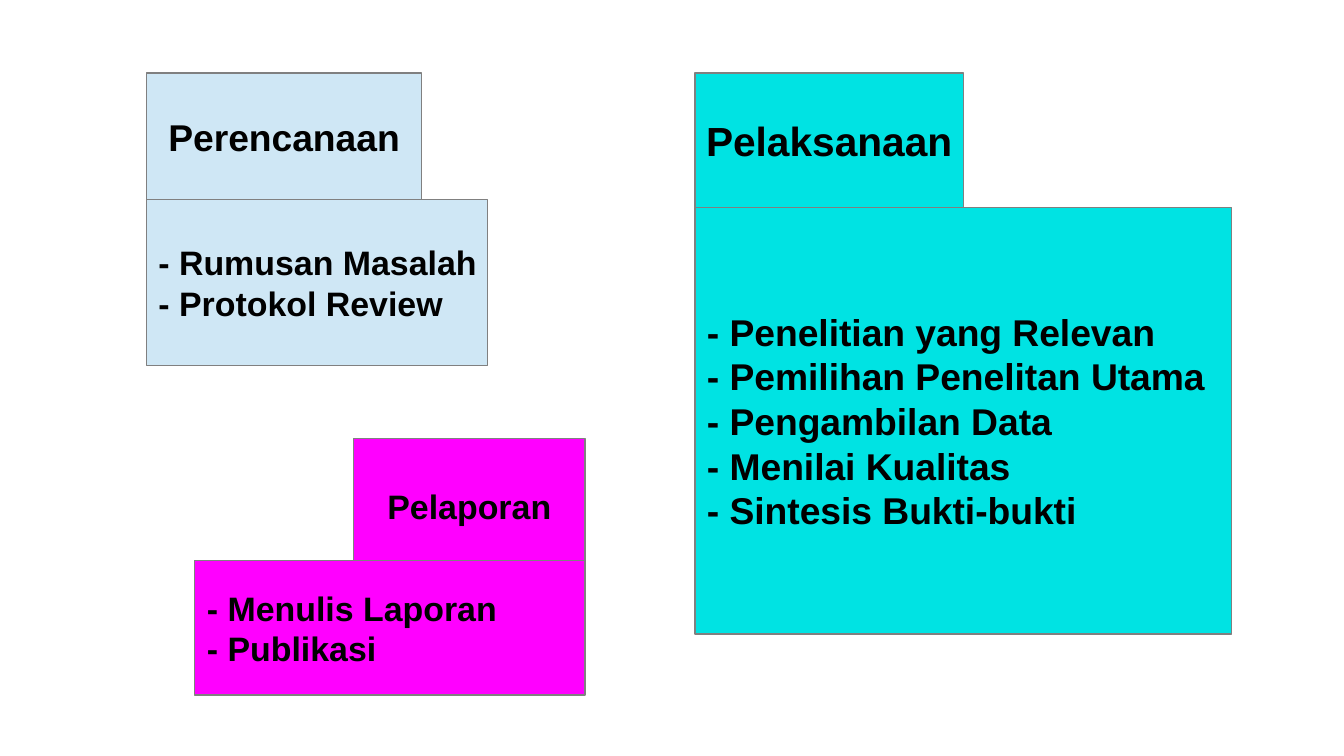
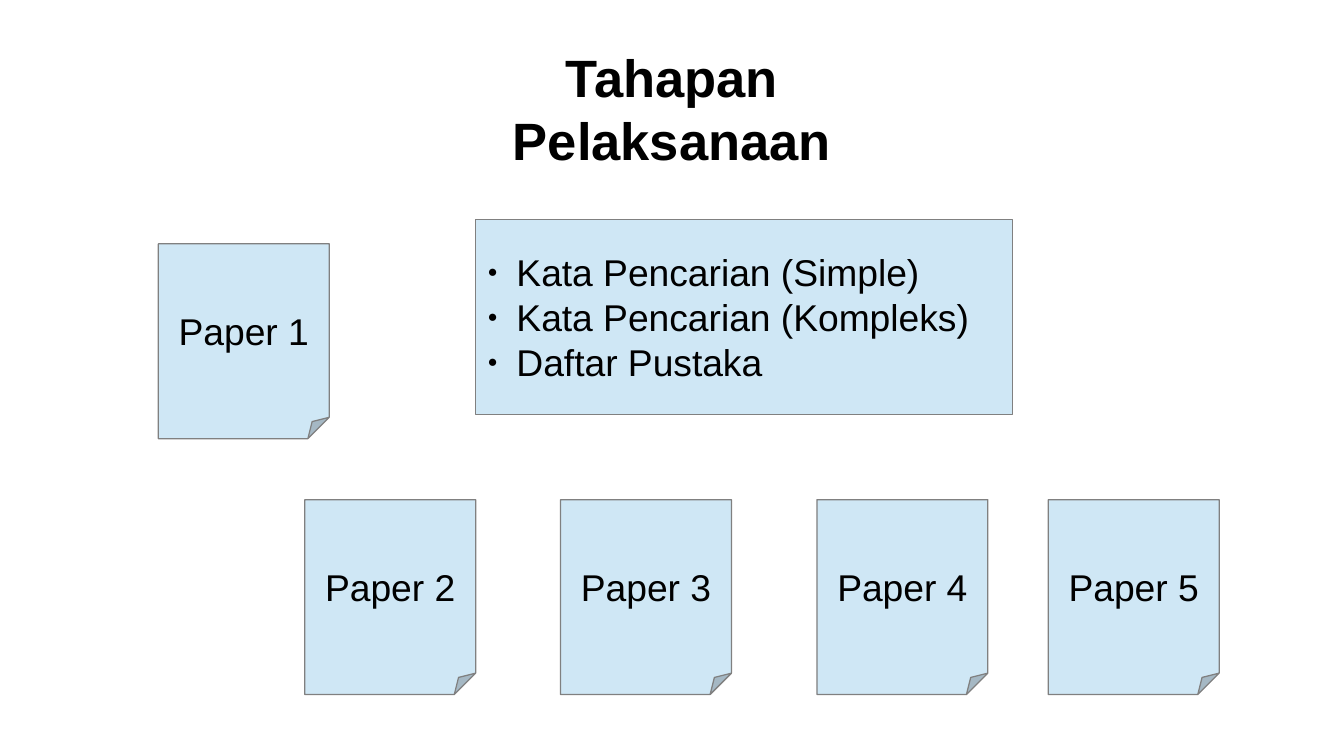
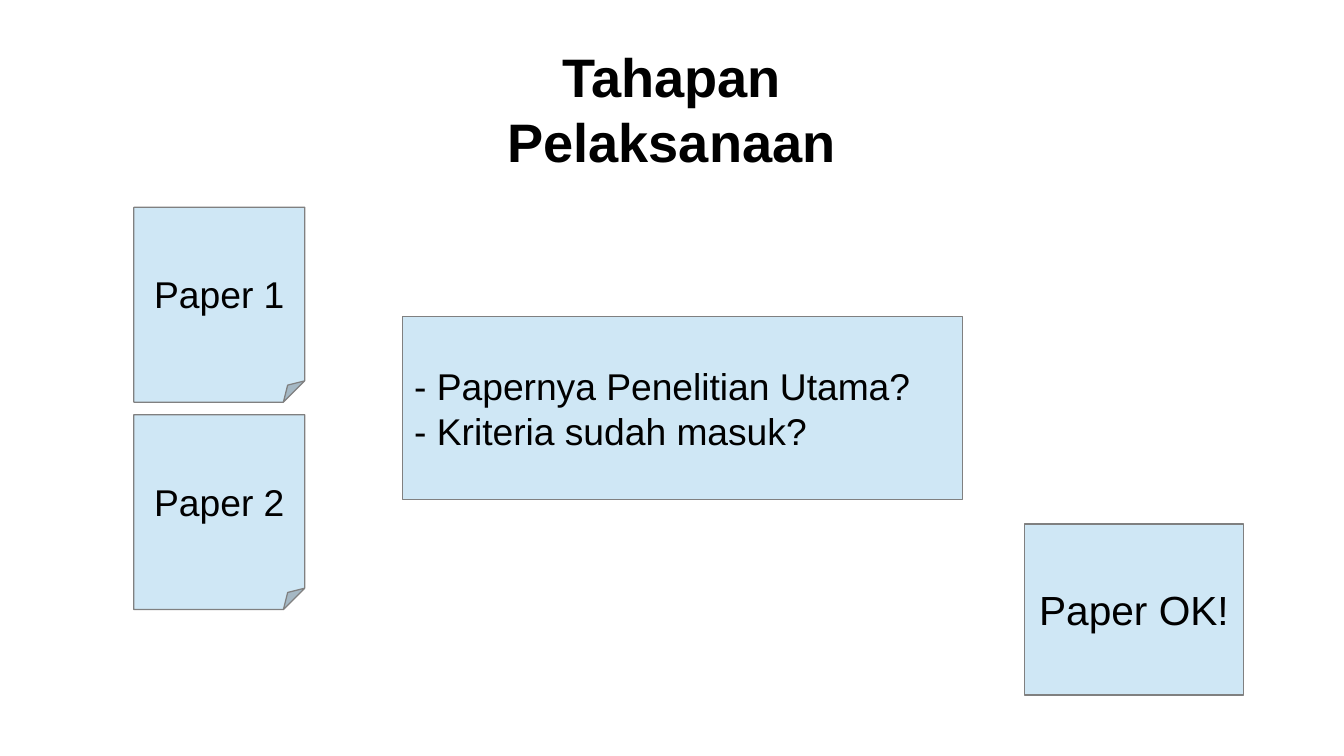
from lxml.etree import SubElement
from pptx import Presentation
from pptx.dml.color import RGBColor
from pptx.enum.shapes import MSO_SHAPE
from pptx.enum.text import MSO_ANCHOR, MSO_AUTO_SIZE, PP_ALIGN
from pptx.oxml.ns import qn
from pptx.util import Cm, Pt

BLACK, GREY = "000000", "808080"
PALE, CYAN, PINK = "CFE7F5", "00E3E3", "FF00FF"
FONT = "Arial"
HEAD = "Tahapan Pelaksanaan"
LEFT, MID = PP_ALIGN.LEFT, PP_ALIGN.CENTER
RECT, FOLD = MSO_SHAPE.RECTANGLE, MSO_SHAPE.FOLDED_CORNER


def color(value):
    return RGBColor.from_string(value)


def style(shape, place, lines, size, bold=False, align=MID, fill=None, dots=False):
    shape.left, shape.top, shape.width, shape.height = [Cm(n) for n in place]
    if fill:
        if not shape.is_placeholder:
            shape.shadow.inherit = False
        shape.fill.solid()
        shape.fill.fore_color.rgb = color(fill)
        shape.line.color.rgb = color(GREY)
        shape.line.width = Pt(0.75)
    frame = shape.text_frame
    frame.word_wrap = True
    frame.auto_size = MSO_AUTO_SIZE.NONE
    frame.vertical_anchor = MSO_ANCHOR.MIDDLE
    frame.margin_left = Cm(0.25 if align == LEFT else 0)
    frame.margin_right = frame.margin_top = frame.margin_bottom = 0
    for i, line in enumerate(lines):
        para = frame.add_paragraph() if i else frame.paragraphs[0]
        para.alignment = align
        props = para._p.get_or_add_pPr()
        props.set("marL", str(Cm(0.6) if dots else 0))
        props.set("indent", str(-Cm(0.6) if dots else 0))
        if dots:
            tint = SubElement(props, qn("a:buClr"))
            SubElement(tint, qn("a:srgbClr"), val=BLACK)
            SubElement(props, qn("a:buSzPct"), val="45000")
            SubElement(props, qn("a:buFont"), typeface=FONT)
            SubElement(props, qn("a:buChar"), char="●")
        else:
            SubElement(props, qn("a:buNone"))
        para.space_before = Pt(0)
        run = para.add_run()
        run.text = line
        run.font.name = FONT
        run.font.size = Pt(size)
        run.font.bold = bold
        run.font.color.rgb = color(BLACK)


deck = Presentation()
deck.slide_width, deck.slide_height = Cm(28), Cm(15.75)

phases = [
    (PALE, "Perencanaan", 22, (3.05, 1.52, 5.74, 2.64),
     ["- Rumusan Masalah", "- Protokol Review"], 20, (3.05, 4.16, 7.11, 3.46)),
    (CYAN, "Pelaksanaan", 24, (14.48, 1.52, 5.59, 2.8),
     ["- Penelitian yang Relevan", "- Pemilihan Penelitan Utama",
      "- Pengambilan Data", "- Menilai Kualitas", "- Sintesis Bukti-bukti"],
     22, (14.48, 4.32, 11.18, 8.89)),
    (PINK, "Pelaporan", 20, (7.37, 9.14, 4.82, 2.8),
     ["- Menulis Laporan", "- Publikasi"], 20, (4.06, 11.68, 8.13, 2.8)),
]
slide = deck.slides.add_slide(deck.slide_layouts[6])
for fill, name, big, top, tasks, small, base in phases:
    tab = slide.shapes.add_shape(RECT, 0, 0, 0, 0)
    style(tab, top, [name], big, True, fill=fill)
    box = slide.shapes.add_shape(RECT, 0, 0, 0, 0)
    style(box, base, tasks, small, True, LEFT, fill)

steps = [
    (31, (9.6, 1, 8.79, 2.5),
     ["Kata Pencarian (Simple)", "Kata Pencarian (Kompleks)", "Daftar Pustaka"],
     (9.91, 4.57, 11.18, 4.06), True,
     [(3.3, 5.08), (6.35, 10.41), (11.68, 10.41), (17.02, 10.41), (21.84, 10.41)]),
    (32, (9.6, 0.95, 8.79, 2.6),
     ["- Papernya Penelitian Utama?", "- Kriteria sudah masuk?"],
     (8.38, 6.6, 11.68, 3.81), False,
     [(2.79, 4.32), (2.79, 8.64)]),
]
for size, top, items, base, dots, spots in steps:
    slide = deck.slides.add_slide(deck.slide_layouts[1])
    style(slide.shapes.title, top, [HEAD], size, True)
    style(slide.placeholders[1], base, items, 22, align=LEFT, fill=PALE, dots=dots)
    for num, spot in enumerate(spots, 1):
        note = slide.shapes.add_shape(FOLD, 0, 0, 0, 0)
        bends = note._element.spPr.find(qn("a:prstGeom")).get_or_add_avLst()
        for bend in list(bends):
            bends.remove(bend)
        SubElement(bends, qn("a:gd"), name="adj", fmla="val 12500")
        style(note, (*spot, 3.56, 4.06), [f"Paper {num}"], 22, fill=PALE)

final = slide.shapes.add_shape(RECT, 0, 0, 0, 0)
style(final, (21.34, 10.92, 4.57, 3.56), ["Paper OK!"], 24, fill=PALE)

deck.save("out.pptx")
